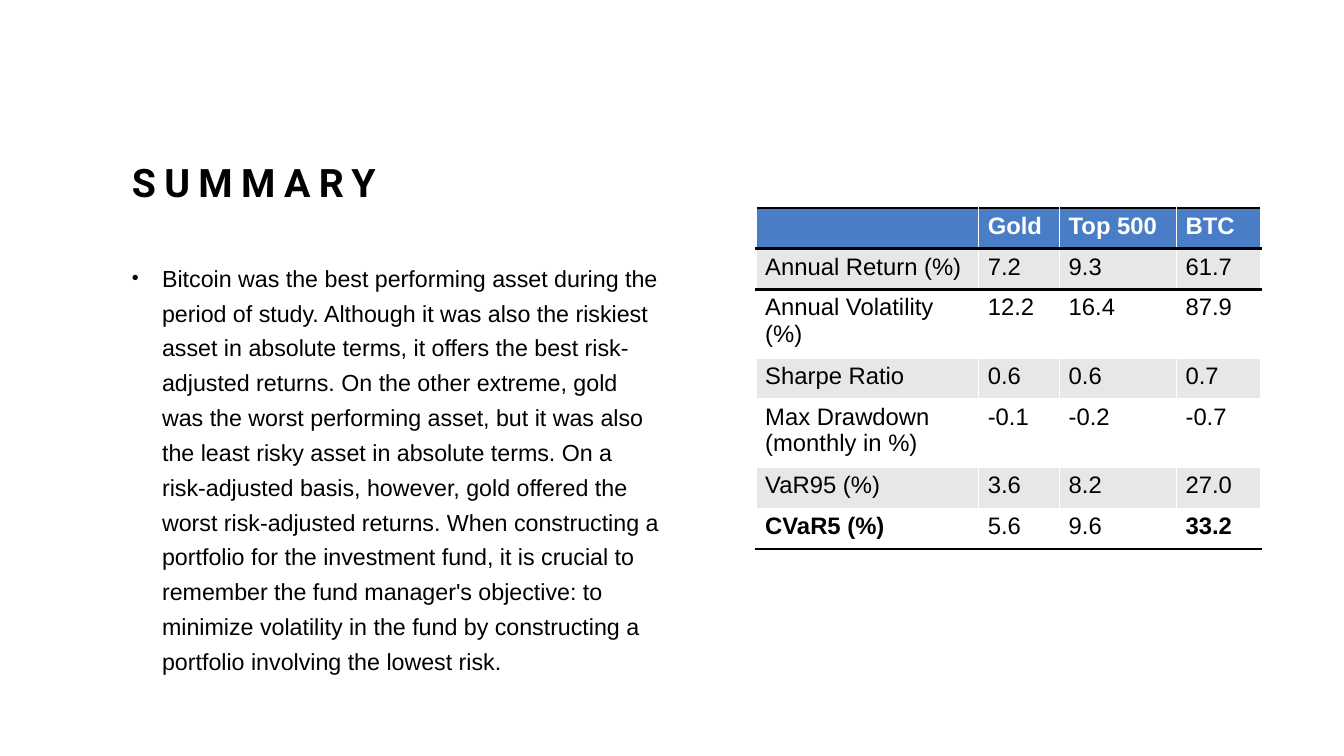
from lxml.etree import SubElement
from pptx import Presentation
from pptx.dml.color import RGBColor as RGB
from pptx.enum.text import MSO_ANCHOR as ANCHOR, MSO_AUTO_SIZE as AUTO, PP_ALIGN as ALIGN
from pptx.oxml.ns import qn
from pptx.util import Pt

TITLE = "SUMMARY"
BODY = (
    "Bitcoin was the best performing asset during the period of study. "
    "Although it was also the riskiest asset in absolute terms, it offers the best "
    "risk-adjusted returns. On the other extreme, gold was the worst performing asset, "
    "but it was also the least risky asset in absolute terms. On a risk-adjusted basis, "
    "however, gold offered the worst risk-adjusted returns. When constructing a portfolio "
    "for the investment fund, it is crucial to remember the fund manager's objective: to "
    "minimize volatility in the fund by constructing a portfolio involving the lowest risk."
)
ROWS = [
    ("", "Gold", "Top 500", "BTC"),
    ("Annual Return (%)", "7.2", "9.3", "61.7"),
    ("Annual Volatility (%)", "12.2", "16.4", "87.9"),
    ("Sharpe Ratio", "0.6", "0.6", "0.7"),
    ("Max Drawdown (monthly in %)", "-0.1", "-0.2", "-0.7"),
    ("VaR95 (%)", "3.6", "8.2", "27.0"),
    ("CVaR5 (%)", "5.6", "9.6", "33.2"),
]
BOLD_VALUES = {"CVaR5 (%)", "33.2"}
TWO_LINE_ROWS = {2, 4}
COLUMN_WIDTHS = (159, 57.8, 83.5, 60.5)
ROW_HEIGHT, TALL_ROW_HEIGHT = 29.1, 49.1
COLORS = {"text": "000000", "header": "497EC7", "header_text": "FFFFFF",
          "band": "E7E7E7", "plain": "FFFFFF", "rule": "000000"}
CELL_MARGINS = {"margin_left": 6.6, "margin_right": 6.6,
                "margin_top": 3.4, "margin_bottom": 3.4}


def set_all(target, values):
    for name, value in values.items():
        setattr(target, name, value)


def write(tf, text, font, size, color, bold=False):
    p = tf.paragraphs[0]
    r = p.add_run()
    r.text = text
    set_all(r.font, {"name": font, "size": Pt(size), "bold": bold})
    r.font.color.rgb = RGB.from_string(COLORS[color])
    return p, r


def place(sp, left, top, width, height, anchor):
    set_all(sp, {"left": Pt(left), "top": Pt(top), "width": Pt(width), "height": Pt(height)})
    set_all(sp.text_frame, {"word_wrap": True, "auto_size": AUTO.NONE,
                            "vertical_anchor": anchor})
    return sp.text_frame


def add_border(cell, side):
    tc_pr = cell._tc.get_or_add_tcPr()
    line = SubElement(tc_pr, qn(f"a:{side}"), w=str(Pt(2)))
    fill = SubElement(line, qn("a:solidFill"))
    SubElement(fill, qn("a:srgbClr"), val=COLORS["rule"])


prs = Presentation()
set_all(prs, {"slide_width": Pt(960), "slide_height": Pt(540)})
s = prs.slides.add_slide(prs.slide_layouts[1])

tf = place(s.shapes.title, 87, 60, 393, 90, ANCHOR.BOTTOM)
p, r = write(tf, TITLE, "Roboto", 28, "text", True)
set_all(p, {"alignment": ALIGN.LEFT, "line_spacing": 1.2})
r.font._element.set("spc", "600")

tf = place(s.placeholders[1], 87, 180, 393, 300, ANCHOR.TOP)
p, r = write(tf, BODY, "Arial", 16.6, "text")
set_all(p, {"alignment": ALIGN.LEFT, "line_spacing": 1.25, "space_before": Pt(10)})
p_pr = p._p.get_or_add_pPr()
for name, value in {"marL": Pt(21.6), "indent": -Pt(21.6)}.items():
    p_pr.set(name, str(value))
SubElement(p_pr, qn("a:buSzPct"), val="85000")
SubElement(p_pr, qn("a:buFont"), typeface="Arial")
SubElement(p_pr, qn("a:buChar"), char="•")

heights = [TALL_ROW_HEIGHT if i in TWO_LINE_ROWS else ROW_HEIGHT for i in range(len(ROWS))]
table = s.shapes.add_table(len(ROWS), len(COLUMN_WIDTHS), Pt(540), Pt(148.5),
                           Pt(sum(COLUMN_WIDTHS)), Pt(sum(heights))).table
for column, width in zip(table.columns, COLUMN_WIDTHS):
    column.width = Pt(width)
for row, height in zip(table.rows, heights):
    row.height = Pt(height)

for i, values in enumerate(ROWS):
    header = i == 0
    fill = "header" if header else "band" if i % 2 else "plain"
    sides = {0: ("lnT", "lnB"), 1: ("lnT",), len(ROWS) - 1: ("lnB",)}.get(i, ())
    for j, value in enumerate(values):
        cell = table.cell(i, j)
        set_all(cell, {name: Pt(margin) for name, margin in CELL_MARGINS.items()})
        for side in sides:
            add_border(cell, side)
        cell.fill.solid()
        cell.fill.fore_color.rgb = RGB.from_string(COLORS[fill])
        if value:
            write(cell.text_frame, value, "Arial", 17,
                  "header_text" if header else "text", header or value in BOLD_VALUES)

prs.save("out.pptx")
